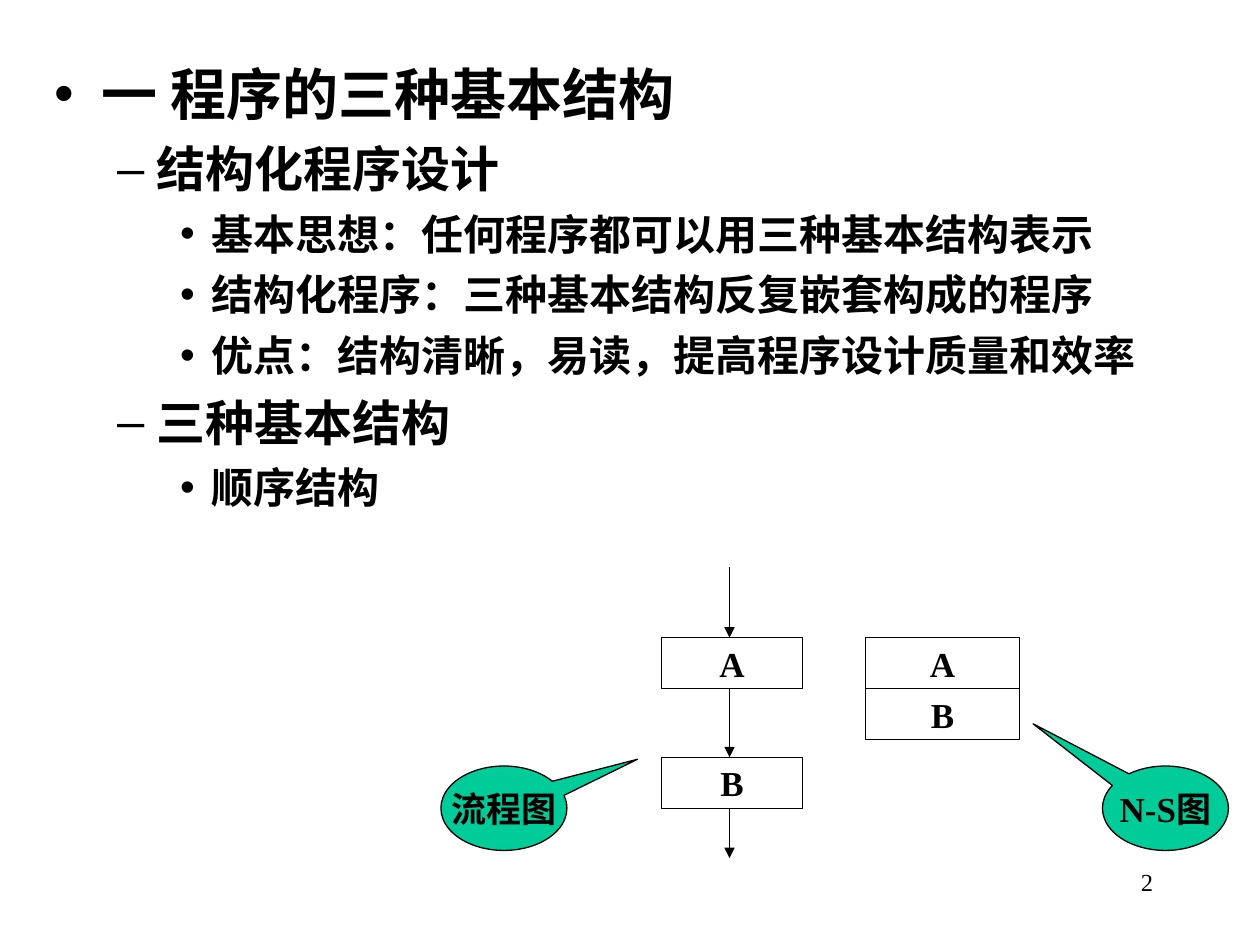
from lxml import etree
from pptx import Presentation
from pptx import util as u
from pptx.dml.color import RGBColor
from pptx.enum import shapes, text
from pptx.oxml.ns import qn

FONT = "Times New Roman"
BLACK, WHITE, GREEN = "000000", "FFFFFF", "00CC99"
SIZES = (32, 28, 24)   # points, by outline level
SPACES = (8, 7, 6)     # points before a paragraph, by outline level
OUTLINE = [
    (0, "一 程序的三种基本结构"),
    (1, "结构化程序设计"),
    (2, "基本思想：任何程序都可以用三种基本结构表示"),
    (2, "结构化程序：三种基本结构反复嵌套构成的程序"),
    (2, "优点：结构清晰，易读，提高程序设计质量和效率"),
    (1, "三种基本结构"),
    (2, "顺序结构"),
]

# Diagram grid, in inches
TOP, BOX_HEIGHT = 5.06, 0.405
FLOW_LEFT, FLOW_WIDTH, FLOW_STEP = 5.25, 1.12, 0.95
FLOW_AXIS = 5.79
NS_LEFT, NS_WIDTH = 6.87, 1.22
CALLOUT_TOP, CALLOUT_WIDTH, CALLOUT_HEIGHT = 6.08, 1, 0.67


def color(value):
    return RGBColor.from_string(value)


def style(para, size, bold=True):
    para.font.name = FONT
    para.font.size = u.Pt(size)
    para.font.bold = bold
    para.font.color.rgb = color(BLACK)


def add_outline(page):
    body = page.placeholders[1]
    body.left, body.top = u.Inches(0.33), u.Inches(0.42)
    body.width, body.height = u.Inches(9.17), u.Inches(4.92)
    frame = body.text_frame
    frame.auto_size = text.MSO_AUTO_SIZE.NONE
    for index, (level, words) in enumerate(OUTLINE):
        para = frame.add_paragraph() if index else frame.paragraphs[0]
        para.text = words
        para.level = level
        para.space_before = u.Pt(SPACES[level] if index else 0)
        style(para, SIZES[level])


def add_label_shape(page, kind, words, left, top, width, height, fill=WHITE):
    box = page.shapes.add_shape(kind, *map(u.Inches, (left, top, width, height)))
    box.shadow.inherit = False
    box.fill.solid()
    box.fill.fore_color.rgb = color(fill)
    box.line.color.rgb = color(BLACK)
    box.line.width = u.Pt(0.75)
    frame = box.text_frame
    frame.word_wrap = False
    frame.vertical_anchor = text.MSO_ANCHOR.MIDDLE
    para = frame.paragraphs[0]
    para.text = words
    para.alignment = text.PP_ALIGN.CENTER
    style(para, 20)
    return box


def add_down_arrow(page, top, bottom):
    arrow = page.shapes.add_connector(
        shapes.MSO_CONNECTOR.STRAIGHT,
        *map(u.Inches, (FLOW_AXIS, top, FLOW_AXIS, bottom)))
    arrow.line.color.rgb = color(BLACK)
    arrow.line.width = u.Pt(0.75)
    properties = arrow._element.spPr
    etree.SubElement(properties.find(qn("a:ln")), qn("a:tailEnd"), type="triangle")
    etree.SubElement(properties, qn("a:effectLst"))


def add_callout(page, words, left, pointer):
    callout = add_label_shape(
        page, shapes.MSO_SHAPE.OVAL_CALLOUT, words,
        left, CALLOUT_TOP, CALLOUT_WIDTH, CALLOUT_HEIGHT, GREEN)
    for index, share in enumerate(pointer):
        callout.adjustments[index] = share


def add_page_number(page, number):
    box = page.shapes.add_textbox(*map(u.Inches, (7.17, 6.83, 2.08, 0.5)))
    box.text_frame.word_wrap = True
    para = box.text_frame.paragraphs[0]
    para.text = number
    para.alignment = text.PP_ALIGN.RIGHT
    style(para, 14, bold=False)


def main():
    deck = Presentation()
    deck.slide_width, deck.slide_height = u.Inches(10), u.Inches(7.5)
    page = deck.slides.add_slide(deck.slide_layouts[1])
    title = page.shapes.title._element
    title.getparent().remove(title)
    add_outline(page)

    # Flowchart and N-S chart, one row per step
    for row, step in enumerate("AB"):
        add_label_shape(page, shapes.MSO_SHAPE.FLOWCHART_PROCESS, step,
                        FLOW_LEFT, TOP + row * FLOW_STEP, FLOW_WIDTH, BOX_HEIGHT)
        add_label_shape(page, shapes.MSO_SHAPE.RECTANGLE, step,
                        NS_LEFT, TOP + row * BOX_HEIGHT, NS_WIDTH, BOX_HEIGHT)

    # Arrows into, between and out of the flowchart boxes
    second = TOP + FLOW_STEP
    for top, bottom in ((4.5, TOP), (TOP + BOX_HEIGHT, second),
                        (second + BOX_HEIGHT, 6.81)):
        add_down_arrow(page, top, bottom)

    # Callouts naming the two diagrams
    add_callout(page, "流程图", 3.5, (1.06, -0.58))
    add_callout(page, "N-S图", 8.75, (-1.05, -1))

    add_page_number(page, "2")
    deck.save("out.pptx")


if __name__ == "__main__":
    main()
